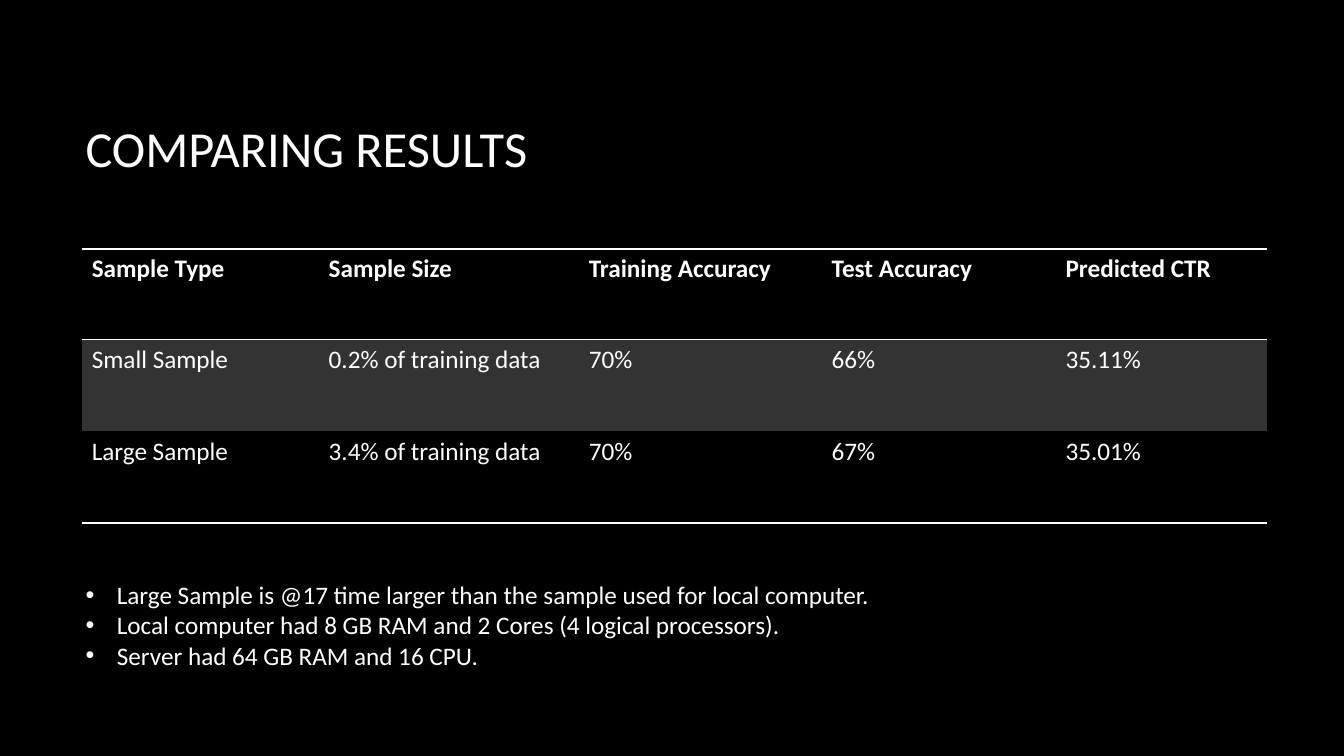
from dataclasses import dataclass

from lxml import etree
from pptx import Presentation
from pptx.dml.color import RGBColor
from pptx.enum.text import MSO_ANCHOR
from pptx.oxml.ns import qn
from pptx.util import Emu, Inches, Pt

MIDDLE, TOP = MSO_ANCHOR.MIDDLE, MSO_ANCHOR.TOP
PLAIN_TABLE = "{2D5ABB26-0587-4C30-8999-92F81FD0307C}"
SLIDE_W, SLIDE_H = Inches(13.333), Inches(7.5)


@dataclass(frozen=True)
class Theme:
    font: str = "Calibri"
    bullet_font: str = "Arial"
    back: str = "000000"
    ink: str = "FFFFFF"
    band: str = "333333"
    title_size: float = 36
    body_size: float = 18
    rule_width: float = 1


@dataclass(frozen=True)
class Box:
    left: float
    top: float
    width: float
    height: float

    def emu(self) -> tuple[Emu, Emu, Emu, Emu]:
        return across(self.left), down(self.top), across(self.width), down(self.height)


@dataclass(frozen=True)
class Column:
    width: float
    header: str
    small: str
    large: str


@dataclass(frozen=True)
class Row:
    height: float
    field: str
    bold: bool = False
    banded: bool = False
    rules: tuple[str, ...] = ()


THEME = Theme()
TITLE_BOX = Box(5.63, 8.93, 83.1, 21.2)
TABLE_BOX = Box(6.08, 32.93, 88.21, 36.26)
NOTES_BOX = Box(5.63, 76, 69.3, 13.47)
NOTES_INDENT = Inches(0.31)

COLUMNS = (
    Column(17.63, "Sample Type", "Small Sample", "Large Sample"),
    Column(19.35, "Sample Size", "0.2% of training data", "3.4% of training data"),
    Column(18.08, "Training Accuracy", "70%", "70%"),
    Column(17.4, "Test Accuracy", "66%", "67%"),
    Column(15.75, "Predicted CTR", "35.11%", "35.01%"),
)
ROWS = (
    Row(12, "header", bold=True, rules=("a:lnT", "a:lnB")),
    Row(12.13, "small", banded=True),
    Row(12.13, "large", rules=("a:lnB",)),
)
NOTES = (
    "Large Sample is @17 time larger than the sample used for local computer.",
    "Local computer had 8 GB RAM and 2 Cores (4 logical processors).",
    "Server had 64 GB RAM and 16 CPU.",
)


def across(percent: float) -> Emu:
    return Emu(round(SLIDE_W * percent / 100))


def down(percent: float) -> Emu:
    return Emu(round(SLIDE_H * percent / 100))


def add_run(p, text: str, size: float, bold: bool = False) -> None:
    r = p.add_run()
    r.text = text
    r.font.name = THEME.font
    r.font.size = Pt(size)
    r.font.bold = bold
    r.font.color.rgb = RGBColor.from_string(THEME.ink)


def add_bullet(p) -> None:
    pPr = p._p.get_or_add_pPr()
    pPr.set("marL", str(NOTES_INDENT))
    pPr.set("indent", str(-NOTES_INDENT))
    etree.SubElement(pPr, qn("a:buFont"), typeface=THEME.bullet_font)
    etree.SubElement(pPr, qn("a:buChar"), char="•")


def add_text(slide, box: Box, lines: tuple[str, ...], size: float,
             anchor: MSO_ANCHOR = TOP, bullets: bool = False) -> None:
    tf = slide.shapes.add_textbox(*box.emu()).text_frame
    tf.word_wrap = True
    tf.vertical_anchor = anchor
    for i, line in enumerate(lines):
        p = tf.add_paragraph() if i else tf.paragraphs[0]
        if bullets:
            add_bullet(p)
        add_run(p, line, size)


def add_rule(cell, side: str) -> None:
    tcPr = cell._tc.get_or_add_tcPr()
    ln = etree.SubElement(tcPr, qn(side), w=str(Pt(THEME.rule_width)))
    fill = etree.SubElement(ln, qn("a:solidFill"))
    etree.SubElement(fill, qn("a:srgbClr"), val=THEME.ink)


def fill_cell(cell, text: str, row: Row) -> None:
    add_run(cell.text_frame.paragraphs[0], text, THEME.body_size, row.bold)
    for side in row.rules:
        add_rule(cell, side)
    if row.banded:
        cell.fill.solid()
        cell.fill.fore_color.rgb = RGBColor.from_string(THEME.band)
    else:
        cell.fill.background()


def add_results(slide) -> None:
    table = slide.shapes.add_table(len(ROWS), len(COLUMNS), *TABLE_BOX.emu()).table
    table.first_row = table.horz_banding = False
    table._tbl.tblPr.find(qn("a:tableStyleId")).text = PLAIN_TABLE
    for x, column in enumerate(COLUMNS):
        table.columns[x].width = across(column.width)
    for y, row in enumerate(ROWS):
        table.rows[y].height = down(row.height)
        for x, column in enumerate(COLUMNS):
            fill_cell(table.cell(y, x), getattr(column, row.field), row)


def main() -> None:
    prs = Presentation()
    prs.slide_width, prs.slide_height = SLIDE_W, SLIDE_H
    slide = prs.slides.add_slide(prs.slide_layouts[6])
    slide.background.fill.solid()
    slide.background.fill.fore_color.rgb = RGBColor.from_string(THEME.back)
    add_text(slide, TITLE_BOX, ("COMPARING RESULTS",), THEME.title_size, anchor=MIDDLE)
    add_results(slide)
    add_text(slide, NOTES_BOX, NOTES, THEME.body_size, bullets=True)
    prs.save("out.pptx")


if __name__ == "__main__":
    main()
